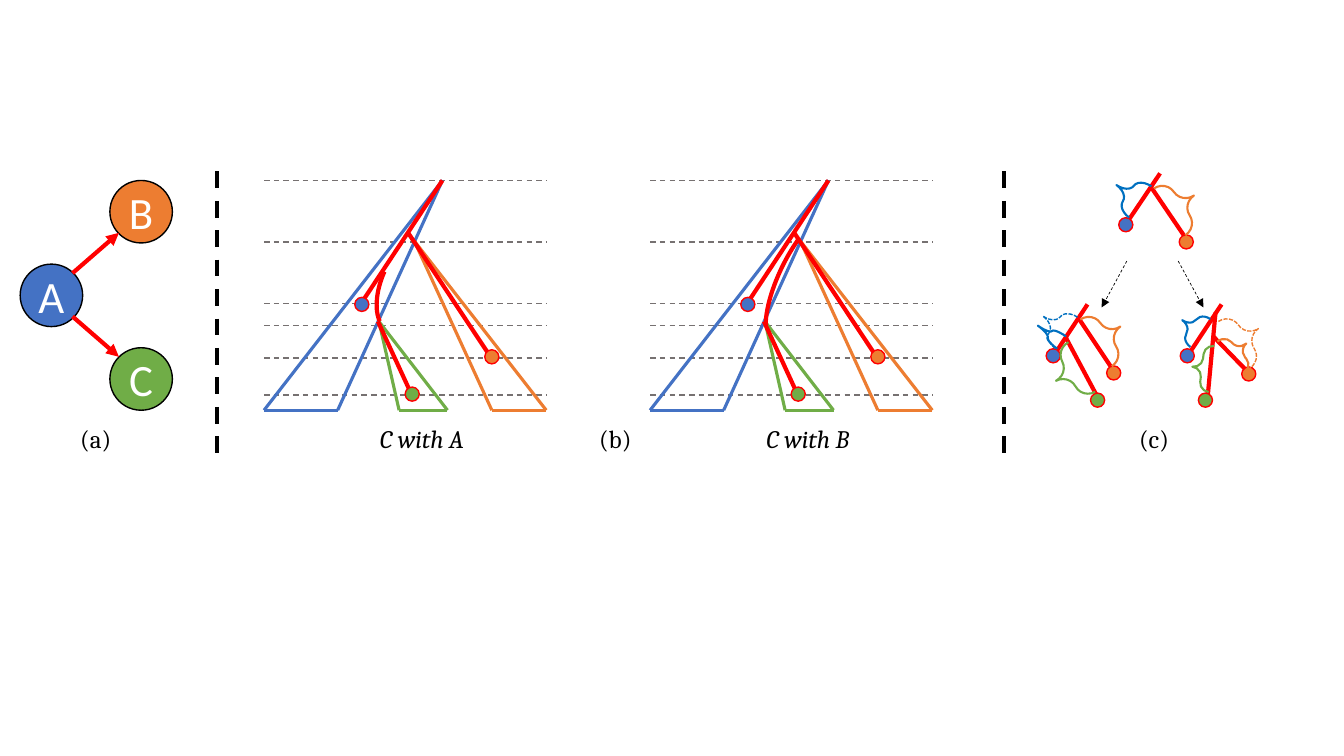
from lxml.etree import SubElement
from pptx import Presentation
from pptx.dml.color import RGBColor
from pptx.enum.dml import MSO_LINE
from pptx.enum.shapes import MSO_CONNECTOR, MSO_SHAPE
from pptx.enum.text import MSO_ANCHOR, MSO_AUTO_SIZE, PP_ALIGN
from pptx.oxml.ns import qn
from pptx.util import Cm, Pt

INCH = 2.54  # positions below are in inches
BLUE, ORANGE, GREEN = "4472C4", "ED7D31", "70AD47"
RED, BLACK, GRAY, SKY = "FF0000", "000000", "767171", "0070C0"
DASH, DOTS = MSO_LINE.DASH, MSO_LINE.SQUARE_DOT
OVAL, BRACE, ARC = MSO_SHAPE.OVAL, MSO_SHAPE.LEFT_BRACE, MSO_SHAPE.ARC
color = RGBColor.from_string

deck = Presentation()
deck.slide_width, deck.slide_height = Cm(33.87), Cm(19.05)
slide = deck.slides.add_slide(deck.slide_layouts[6])


def draw_line(ends, hue, width, dash=None, arrow=False):
    line = slide.shapes.add_connector(
        MSO_CONNECTOR.STRAIGHT, *[Cm(v * INCH) for v in ends])
    line.line.color.rgb = color(hue)
    line.line.width = Pt(width)
    if dash:
        line.line.dash_style = dash
    props = line._element.spPr
    if arrow:
        SubElement(props.find(qn("a:ln")), qn("a:tailEnd"), type="triangle")
    SubElement(props, qn("a:effectLst"))


def draw_shape(kind, box, hue, width, fill=None, turn=0, bends=(), dash=None):
    shape = slide.shapes.add_shape(kind, *[Cm(v * INCH) for v in box])
    shape.shadow.inherit = False
    shape.rotation = turn
    for i, bend in enumerate(bends):
        shape.adjustments[i] = bend
    if fill:
        shape.fill.solid()
        shape.fill.fore_color.rgb = color(fill)
    else:
        shape.fill.background()
    shape.line.color.rgb = color(hue)
    shape.line.width = Pt(width)
    if dash:
        shape.line.dash_style = dash
    return shape


# (a) Graph of three nodes
for name, x, y, fill in [("A", 0.2, 2.62, BLUE), ("B", 1.09, 1.79, ORANGE),
                         ("C", 1.09, 3.45, GREEN)]:
    node = draw_shape(OVAL, (x, y, 0.62, 0.62), BLACK, 1, fill)
    frame = node.text_frame
    frame.margin_left = frame.margin_right = 0
    frame.vertical_anchor = MSO_ANCHOR.MIDDLE
    para = frame.paragraphs[0]
    para.text = name
    para.alignment = PP_ALIGN.CENTER
    para.font.name, para.font.size = "Calibri", Pt(32)
    para.font.color.rgb = color("FFFFFF")
for y, end in [(2.71, 2.31), (3.14, 3.54)]:
    draw_line((0.72, y, 1.18, end), RED, 3, arrow=True)

# Dividers
for x in (2.15, 9.96):
    draw_line((x, 1.7, x, 4.55), BLACK, 3, DASH)

# (b) Two trees with the same outline and different arcs
cones = [(BLUE, 4.39, 1.79, 2.62, 3.35), (ORANGE, 4.11, 2.39, 5.42, 4.88),
         (GREEN, 3.76, 3.19, 4.44, 3.96)]
paths = [(4.39, 1.79, 3.57, 3.03), (4.05, 2.31, 4.88, 3.56),
         (3.75, 3.19, 4.1, 3.95)]
tips = [(3.52, 2.95, BLUE), (4.02, 3.84, GREEN), (4.81, 3.47, ORANGE)]
arcs = [((3.78, 2.35, 0.48, 0.95), 21.4, (209.47, 45.88)),
        ((7.73, 2.06, 0.48, 1.41), 25.5, (181.09, 45.88))]
for dx, (box, turn, bends) in zip((0, 3.83), arcs):
    for y in (1.79, 2.4, 3.01, 3.23, 3.55, 3.92):
        draw_line((2.62 + dx, y, 5.42 + dx, y), GRAY, 1, DASH)
    for hue, x, y, far, near in cones:
        draw_line((x + dx, y, far + dx, 4.07), hue, 2.25)
        draw_line((x + dx, y, near + dx, 4.07), hue, 2.25)
        draw_line((near + dx, 4.07, far + dx, 4.07), hue, 2.25)
    for x, y, right, low in paths:
        draw_line((x + dx, y, right + dx, low), RED, 3)
    arc = draw_shape(ARC, box, RED, 3, turn=turn, bends=bends)
    arc._element.spPr.find(qn("a:xfrm")).set("flipH", "1")
    for x, y, fill in tips:
        draw_shape(OVAL, (x + dx, y, 0.14, 0.14), RED, 1, fill)

# (c) Small trees: branches, then leaves, then braces
branches = [(11.51, 1.72, 11.18, 2.21), (11.43, 1.87, 11.79, 2.4),
            (10.79, 3.02, 10.46, 3.52), (10.71, 3.17, 11.07, 3.71),
            (10.57, 3.34, 10.89, 3.94), (12.12, 3.02, 11.79, 3.52),
            (12.04, 3.34, 12.41, 3.72), (12.06, 3.1, 11.98, 3.96)]
leaves = [(11.1, 2.16, BLUE), (11.7, 2.33, ORANGE), (10.38, 3.46, BLUE),
          (10.98, 3.63, ORANGE), (10.82, 3.9, GREEN), (11.71, 3.46, BLUE),
          (12.32, 3.64, ORANGE), (11.89, 3.9, GREEN)]
braces = [((11.05, 1.73, 0.29, 0.38), 35.4, 0.33, SKY, None),
          ((10.32, 3.03, 0.29, 0.38), 35.4, 0.33, SKY, DOTS),
          ((10.27, 3.24, 0.29, 0.15), 35.4, 0.4, SKY, None),
          ((11.58, 1.74, 0.29, 0.56), 146.1, 0.48, ORANGE, None),
          ((10.85, 3.04, 0.29, 0.56), 146.1, 0.48, ORANGE, None),
          ((10.46, 3.43, 0.29, 0.56), 331.9, 0.48, GREEN, None),
          ((11.71, 3.07, 0.22, 0.34), 35.4, 0.4, SKY, None),
          ((11.83, 3.42, 0.19, 0.46), 7, 0.48, GREEN, None),
          ((12.22, 3.06, 0.29, 0.56), 146.1, 0.48, ORANGE, DOTS),
          ((12.19, 3.27, 0.2, 0.41), 138.2, 0.48, ORANGE, None)]
for ends in branches:
    draw_line(ends, RED, 3)
for x, y, fill in leaves:
    draw_shape(OVAL, (x, y, 0.14, 0.14), RED, 1, fill)
for box, turn, bend, hue, dash in braces:
    draw_shape(BRACE, box, hue, 1 if dash else 1.5, turn=turn,
               bends=(bend, 0.5), dash=dash)
for x, end in [(11.18, 10.93), (11.69, 11.94)]:
    draw_line((x, 2.59, end, 3.05), BLACK, 0.5, DASH, arrow=True)

# Captions
for text, x, width, slant in [("(a)", 0.62, 0.66, False),
                              ("C with A", 2.62, 3.13, True),
                              ("(b)", 5.76, 0.69, False),
                              ("C with B", 6.45, 3.13, True),
                              ("(c)", 11.12, 0.66, False)]:
    label = slide.shapes.add_textbox(
        *[Cm(v * INCH) for v in (x, 4.15, width, 0.4)])
    frame = label.text_frame
    frame.word_wrap = True
    frame.auto_size = MSO_AUTO_SIZE.SHAPE_TO_FIT_TEXT
    para = frame.paragraphs[0]
    para.text = text
    para.alignment = PP_ALIGN.CENTER
    para.font.name, para.font.size = "Cambria", Pt(18)
    para.font.italic = slant
    para.font.color.rgb = color(BLACK)

deck.save("out.pptx")
